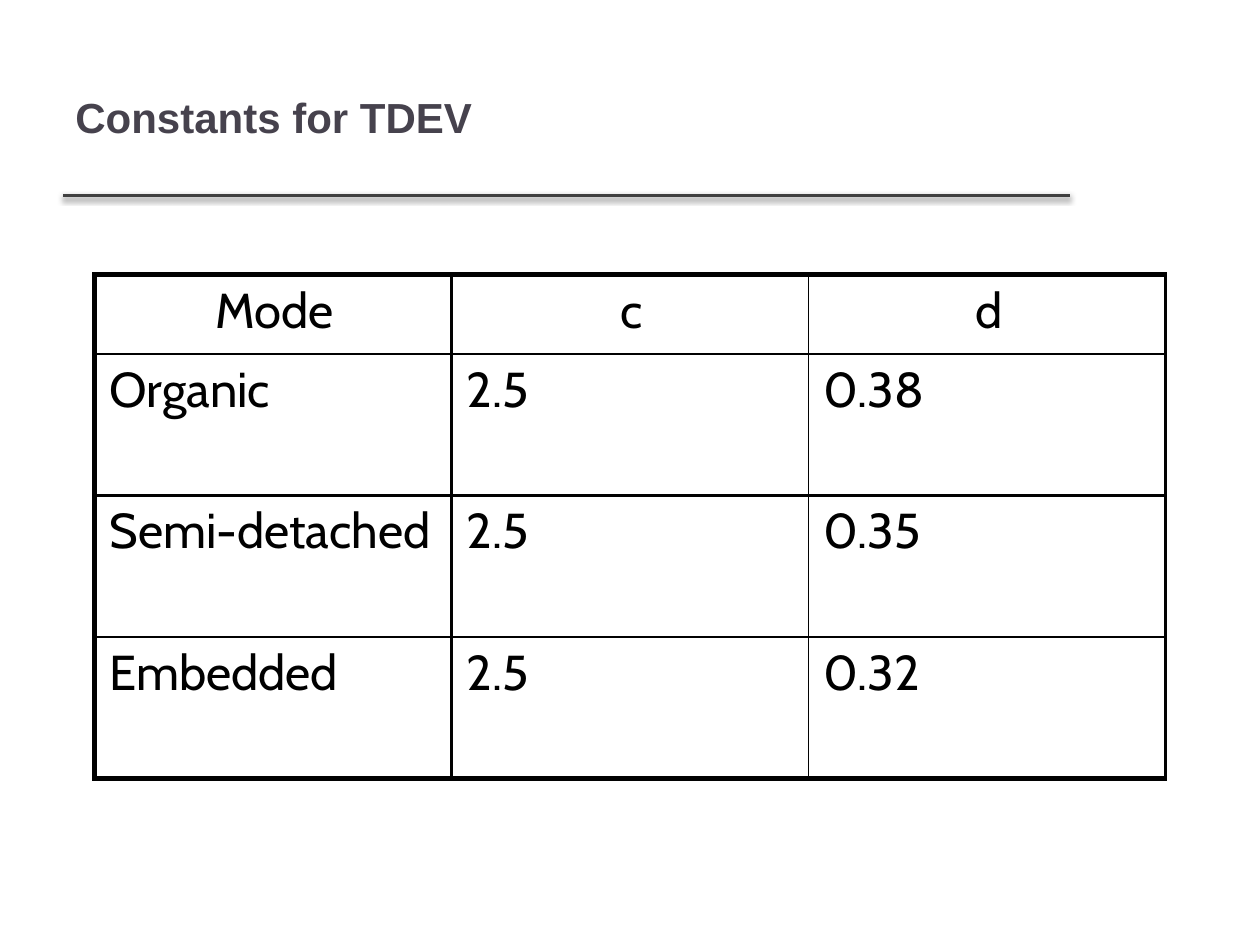
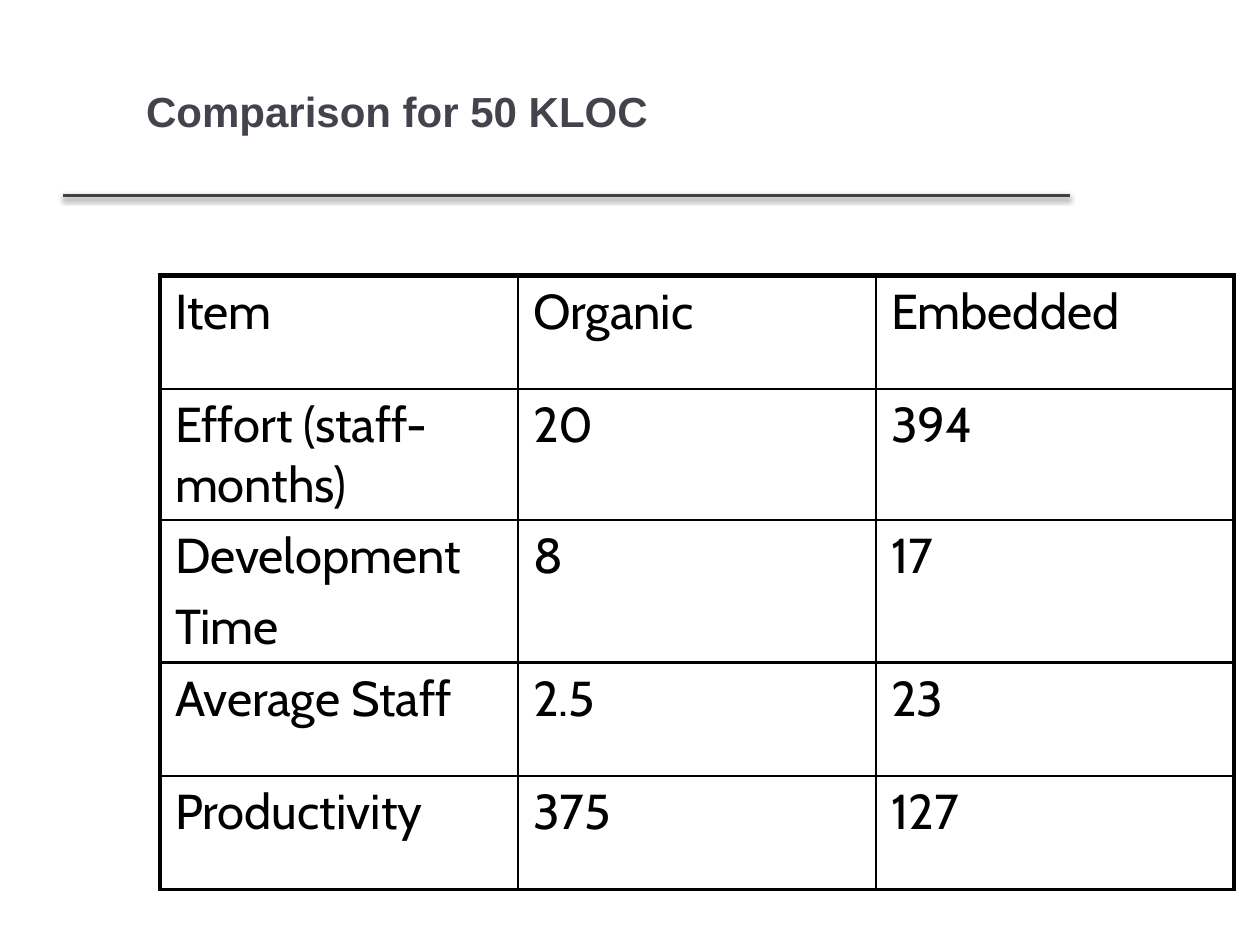
from lxml import etree
from pptx import Presentation
from pptx.dml.color import RGBColor
from pptx.enum import shapes, text
from pptx.oxml import ns
from pptx.util import Pt

# Shared look
TITLE_FONT, TITLE_COLOR = "Arial", "46424D"
TABLE_FONT, TABLE_COLOR = "Cabin", "000000"
RULE_COLOR, BORDER_COLOR = "404040", "010101"
COLUMN_BORDERS = [3, 1.5, 1, 2.25]
TOP_BORDER, ROW_BORDER = 3, 1.5


def color(hex_string):
    return RGBColor.from_string(hex_string)


def add_element(parent, tag, **attributes):
    element = etree.SubElement(parent, ns.qn(tag))
    for name, value in attributes.items():
        element.set(name, str(value))
    return element


def style_font(paragraph, name, size, hex_color, bold=False):
    font = paragraph.font
    font.name, font.size, font.bold = name, Pt(size), bold
    font.color.rgb = color(hex_color)


def add_rule(slide):
    """Draw the shadowed line under the title."""
    rule = slide.shapes.add_connector(
        shapes.MSO_CONNECTOR.STRAIGHT, Pt(36), Pt(111.6), Pt(611.3), Pt(111.6))
    rule.line.color.rgb = color(RULE_COLOR)
    rule.line.width = Pt(2)
    effects = add_element(rule._element.spPr, "a:effectLst")
    shadow = add_element(effects, "a:outerShdw", blurRad=Pt(3.1), dist=Pt(1.6),
                         dir=90 * 60000, rotWithShape=0)
    shade = add_element(shadow, "a:srgbClr", val="000000")
    add_element(shade, "a:alpha", val=38000)


def add_title(slide, title, left, top, width, height, inset):
    box = slide.shapes.add_textbox(Pt(left), Pt(top), Pt(width), Pt(height))
    frame = box.text_frame
    frame.word_wrap = True
    frame.vertical_anchor = text.MSO_ANCHOR.MIDDLE
    frame.margin_left = frame.margin_right = Pt(inset)
    frame.margin_top = frame.margin_bottom = Pt(0.72)
    frame.text = title
    style_font(frame.paragraphs[0], TITLE_FONT, 24, TITLE_COLOR, bold=True)


def set_borders(cell, left, right, top, bottom):
    properties = cell._tc.get_or_add_tcPr()
    for side, width in zip("LRTB", (left, right, top, bottom)):
        line = add_element(properties, f"a:ln{side}", w=Pt(width))
        fill = add_element(line, "a:solidFill")
        add_element(fill, "a:srgbClr", val=BORDER_COLOR)


def fill_cell(cell, content, centered):
    cell.margin_left = Pt(2 if centered else 8.64)
    cell.margin_top = Pt(3.6)
    cell.margin_right = cell.margin_bottom = 0
    cell.text = content
    for index, paragraph in enumerate(cell.text_frame.paragraphs):
        if index:
            paragraph.space_before = Pt(6.7)
        if centered:
            paragraph.alignment = text.PP_ALIGN.CENTER
        style_font(paragraph, TABLE_FONT, 28, TABLE_COLOR)


def add_grid(slide, rows, left, top, column_width, row_heights, bottom_border,
             center_header=False):
    column_count = len(rows[0])
    table = slide.shapes.add_table(
        len(rows), column_count, Pt(left), Pt(top),
        Pt(column_width * column_count), Pt(sum(row_heights))).table
    table.first_row = table.horz_banding = False
    for column in table.columns:
        column.width = Pt(column_width)
    row_borders = [TOP_BORDER] + [ROW_BORDER] * (len(rows) - 1) + [bottom_border]
    for r, (contents, height) in enumerate(zip(rows, row_heights)):
        table.rows[r].height = Pt(height)
        for c, content in enumerate(contents):
            cell = table.cell(r, c)
            fill_cell(cell, content, center_header and r == 0)
            set_borders(cell, *COLUMN_BORDERS[c:c + 2], *row_borders[r:r + 2])
            cell.fill.background()


def add_slide(presentation):
    slide = presentation.slides.add_slide(presentation.slide_layouts[6])
    add_rule(slide)
    return slide


def main():
    presentation = Presentation()
    presentation.slide_width, presentation.slide_height = Pt(720), Pt(540)

    # Constants for TDEV
    slide = add_slide(presentation)
    add_title(slide, "Constants for TDEV", 36, 21.6, 574.6, 90, inset=7.2)
    constants = [
        ("Mode", "c", "d"),
        ("Organic", "2.5", "0.38"),
        ("Semi-detached", "2.5", "0.35"),
        ("Embedded", "2.5", "0.32"),
    ]
    add_grid(slide, constants, 54, 157, 204, [45.2] + [80.9] * 3,
             bottom_border=3, center_header=True)

    # Comparison for 50 KLOC
    slide = add_slide(presentation)
    add_title(slide, "Comparison for 50 KLOC", 82.8, 47.9, 300, 30.2, inset=0.72)
    comparison = [
        ("Item", "Organic", "Embedded"),
        ("Effort (staff- months)", "20", "394"),
        ("Development\nTime", "8", "17"),
        ("Average Staff", "2.5", "23"),
        ("Productivity", "375", "127"),
    ]
    add_grid(slide, comparison, 91.4, 157.6, 204.6, [64.8, 74.8, 81.4, 64.8, 64.8],
             bottom_border=2.25)

    presentation.save("out.pptx")


if __name__ == "__main__":
    main()
